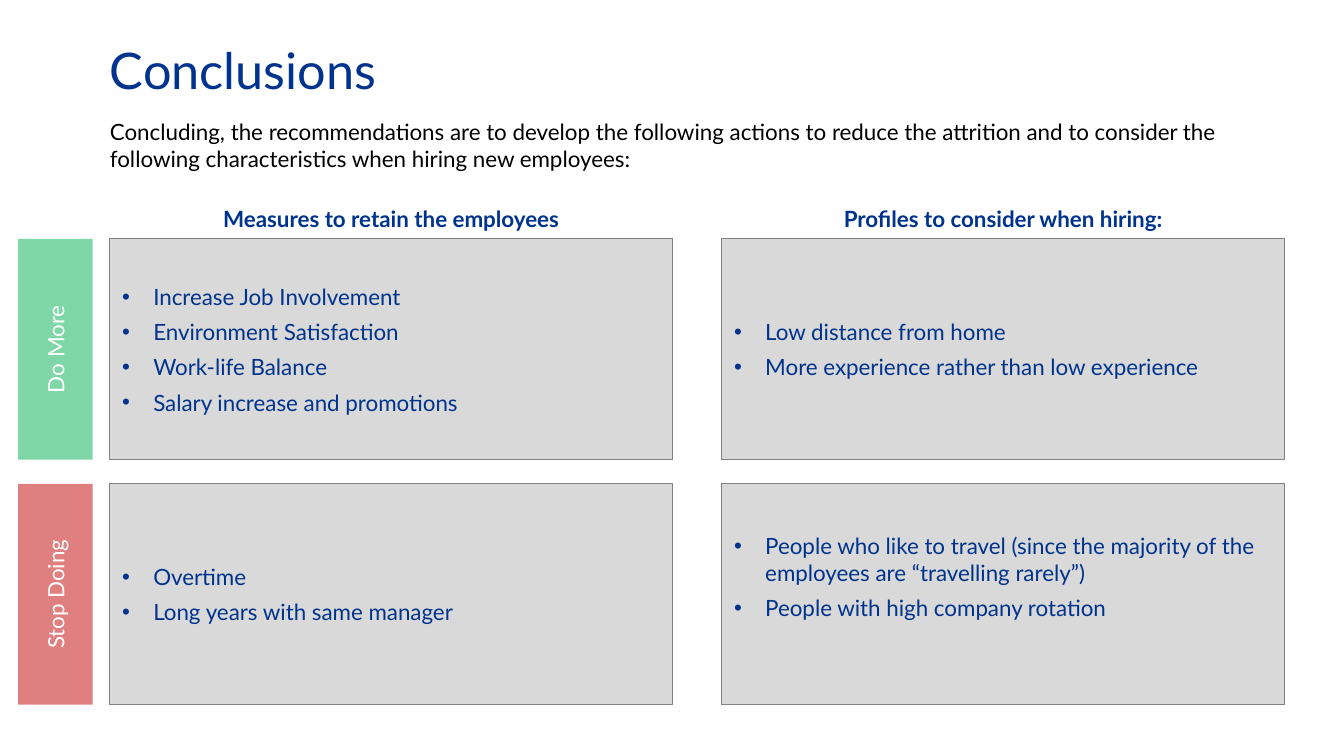
from dataclasses import dataclass

import pptx
import pptx.dml.color
import pptx.enum.shapes
import pptx.enum.text
import pptx.oxml
import pptx.oxml.ns
import pptx.util
from pptx.util import Inches

ALIGN = pptx.enum.text.PP_ALIGN
ANCHOR = pptx.enum.text.MSO_ANCHOR


@dataclass(frozen=True)
class Theme:
    font: str = "Lato"
    title_size: int = 36
    body_size: int = 16
    navy: str = "00338D"
    black: str = "000000"
    white: str = "FFFFFF"
    panel: str = "D9D9D9"
    border: str = "808080"
    green: str = "00B050"
    red: str = "C00000"


THEME = Theme()
COLUMN_LEFTS = (1.09, 7.16)
ROW_TOPS = (2.37, 4.8)
PANEL_WIDTH, PANEL_HEIGHT = 5.58, 2.19
LABEL_CENTER, LABEL_THICKNESS = 0.55, 0.74
EXTRA_BOTTOM = 0.35

HEADINGS = ("Measures to retain the employees", "Profiles to consider when hiring:")
ROWS = (
    ("Do More", THEME.green, (
        ("Increase Job Involvement", "Environment Satisfaction",
         "Work-life Balance", "Salary increase and promotions"),
        ("Low distance from home", "More experience rather than low experience"),
    )),
    ("Stop Doing", THEME.red, (
        ("Overtime", "Long years with same manager"),
        ("People who like to travel (since the majority of the employees are “travelling rarely”)",
         "People with high company rotation"),
    )),
)


def rgb(color):
    return pptx.dml.color.RGBColor.from_string(color)


def set_frame(frame, anchor, insets=(0, 0, 0, 0)):
    frame.word_wrap = True
    frame.auto_size = pptx.enum.text.MSO_AUTO_SIZE.NONE
    frame.vertical_anchor = anchor
    (frame.margin_left, frame.margin_top,
     frame.margin_right, frame.margin_bottom) = map(Inches, insets)


def style_paragraph(paragraph, color, size=THEME.body_size, align=ALIGN.LEFT, bold=False, after=0):
    paragraph.alignment = align
    paragraph.space_before = pptx.util.Pt(0)
    paragraph.space_after = pptx.util.Pt(after)
    paragraph.font.name = THEME.font
    paragraph.font.size = pptx.util.Pt(size)
    paragraph.font.bold = bold
    paragraph.font.color.rgb = rgb(color)


def add_bullet(paragraph):
    properties = paragraph._p.get_or_add_pPr()
    properties.set("marL", str(Inches(0.31)))
    properties.set("indent", str(Inches(-0.31)))
    namespace = pptx.oxml.ns.nsdecls("a")
    for markup in (f'<a:buFont {namespace} typeface="Arial"/>',
                   f'<a:buChar {namespace} char="•"/>'):
        properties.insert_element_before(
            pptx.oxml.parse_xml(markup), "a:tabLst", "a:defRPr", "a:extLst")


def set_title(slide, text):
    title = slide.shapes.title
    title.left, title.top = Inches(1.09), Inches(0.47)
    title.width, title.height = Inches(11.15), Inches(0.58)
    set_frame(title.text_frame, ANCHOR.MIDDLE)
    heading = title.text_frame.paragraphs[0]
    heading.text = text
    heading.line_spacing = 0.7
    style_paragraph(heading, THEME.navy, THEME.title_size)


def add_text(slide, text, left, top, width, color, **style):
    box = slide.shapes.add_textbox(Inches(left), Inches(top), Inches(width), Inches(0.54))
    set_frame(box.text_frame, ANCHOR.TOP)
    paragraph = box.text_frame.paragraphs[0]
    paragraph.text = text
    style_paragraph(paragraph, color, after=6, **style)


def add_rectangle(slide, left, top, width, height, fill):
    rectangle = slide.shapes.add_shape(
        pptx.enum.shapes.MSO_SHAPE.RECTANGLE,
        Inches(left), Inches(top), Inches(width), Inches(height))
    rectangle.shadow.inherit = False
    rectangle.fill.solid()
    rectangle.fill.fore_color.rgb = rgb(fill)
    return rectangle


def add_panel(slide, left, top, items, extra_bottom=0):
    panel = add_rectangle(slide, left, top, PANEL_WIDTH, PANEL_HEIGHT, THEME.panel)
    panel.line.color.rgb = rgb(THEME.border)
    panel.line.width = pptx.util.Pt(0.75)
    frame = panel.text_frame
    set_frame(frame, ANCHOR.MIDDLE, (0.12, 0.08, 0.12, 0.08 + extra_bottom))
    frame.text = "\n".join(items)
    for paragraph in frame.paragraphs:
        style_paragraph(paragraph, THEME.navy, after=6)
        add_bullet(paragraph)


def add_row_label(slide, text, row_top, color):
    left = LABEL_CENTER - PANEL_HEIGHT / 2
    top = row_top + (PANEL_HEIGHT - LABEL_THICKNESS) / 2
    label = add_rectangle(slide, left, top, PANEL_HEIGHT, LABEL_THICKNESS, color)
    label.rotation = 270
    label.line.fill.background()
    solid_color = label._element.spPr.find(".//" + pptx.oxml.ns.qn("a:srgbClr"))
    solid_color.append(pptx.oxml.parse_xml(
        f'<a:alpha {pptx.oxml.ns.nsdecls("a")} val="50000"/>'))
    set_frame(label.text_frame, ANCHOR.MIDDLE, (0.06,) * 4)
    paragraph = label.text_frame.paragraphs[0]
    paragraph.text = text
    style_paragraph(paragraph, THEME.white, align=ALIGN.CENTER)


def main():
    deck = pptx.Presentation()
    deck.slide_width, deck.slide_height = Inches(13.33), Inches(7.5)
    slide = deck.slides.add_slide(deck.slide_layouts.get_by_name("Title Only"))
    set_title(slide, "Conclusions")
    add_text(slide, "Concluding, the recommendations are to develop the following actions "
             "to reduce the attrition and to consider the following characteristics "
             "when hiring new employees:", 1.09, 1.17, 11.16, THEME.black)
    for left, heading in zip(COLUMN_LEFTS, HEADINGS):
        add_text(slide, heading, left, 2.04, PANEL_WIDTH, THEME.navy,
                 align=ALIGN.CENTER, bold=True)
    for top, (label, color, panels) in zip(ROW_TOPS, ROWS):
        for left, items in zip(COLUMN_LEFTS, panels):
            is_last = items == ROWS[-1][2][-1]
            add_panel(slide, left, top, items, EXTRA_BOTTOM if is_last else 0)
        add_row_label(slide, label, top, color)
    deck.save("out.pptx")


if __name__ == "__main__":
    main()
